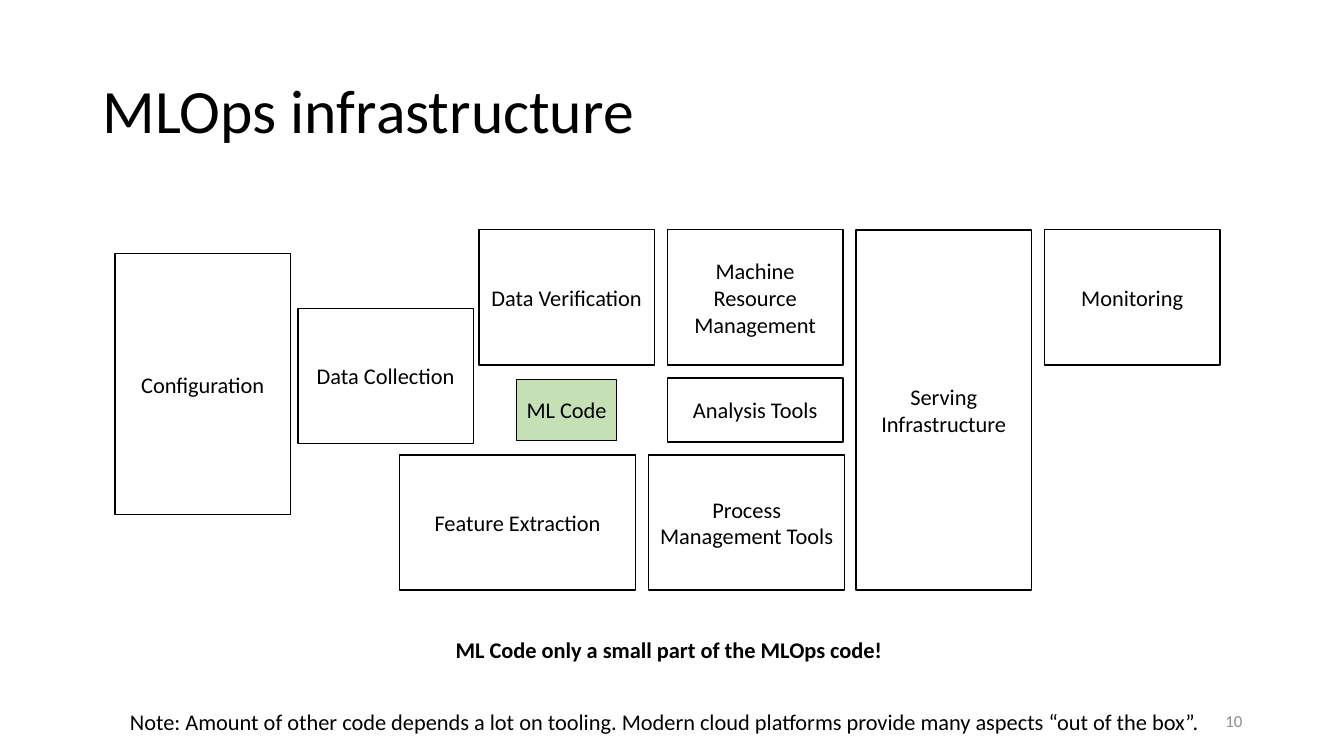
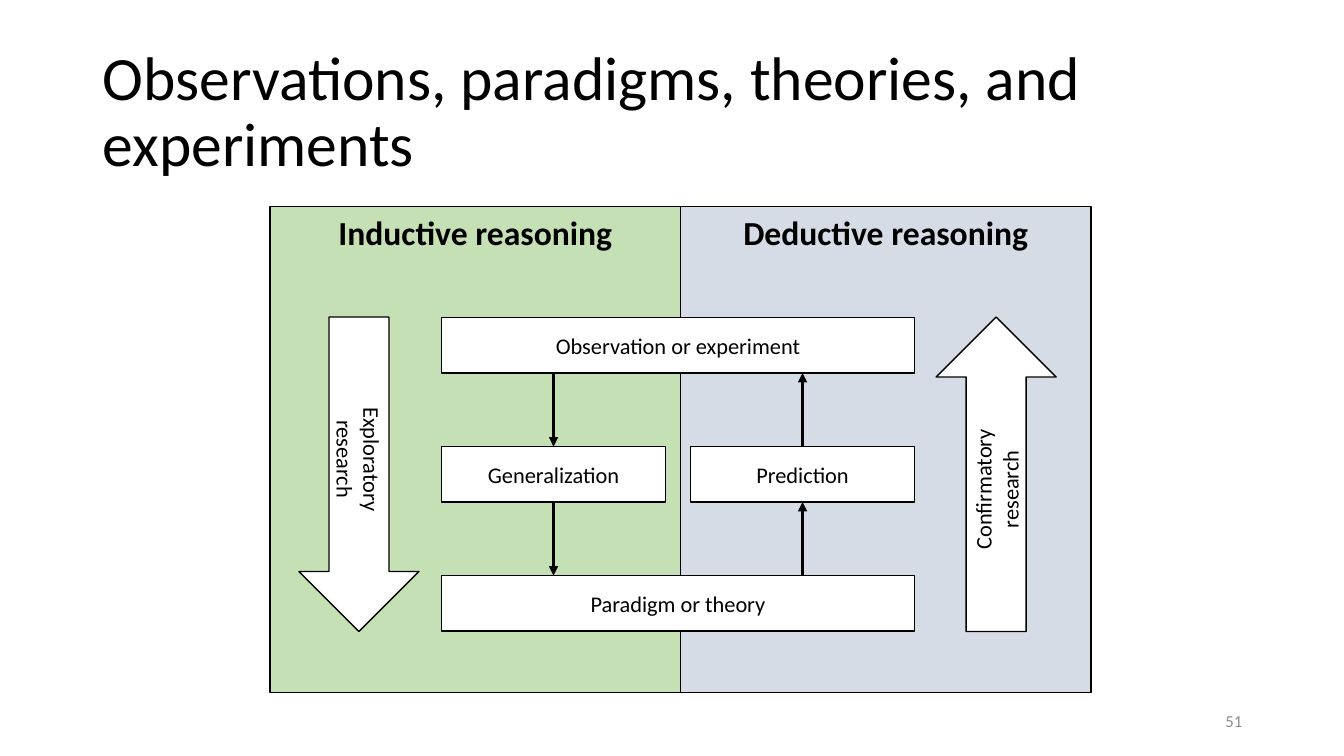
from dataclasses import dataclass

from lxml import etree
from pptx import Presentation
from pptx.dml.color import RGBColor
from pptx.enum.shapes import MSO_CONNECTOR, MSO_SHAPE
from pptx.enum.text import MSO_ANCHOR, MSO_AUTO_SIZE, PP_ALIGN
from pptx.oxml.ns import qn
from pptx.shapes.autoshape import Shape
from pptx.slide import Slide
from pptx.util import Inches, Pt

RECTANGLE, ARROW = MSO_SHAPE.RECTANGLE, MSO_SHAPE.RIGHT_ARROW
STRAIGHT = MSO_CONNECTOR.STRAIGHT
TOP, MIDDLE = MSO_ANCHOR.TOP, MSO_ANCHOR.MIDDLE
LEFT, CENTER, RIGHT = PP_ALIGN.LEFT, PP_ALIGN.CENTER, PP_ALIGN.RIGHT
FIT_SHAPE = MSO_AUTO_SIZE.SHAPE_TO_FIT_TEXT

BLACK = RGBColor(0x00, 0x00, 0x00)
WHITE = RGBColor(0xFF, 0xFF, 0xFF)
GREEN = RGBColor(0xC5, 0xE0, 0xB4)
BLUE_GRAY = RGBColor(0xD6, 0xDC, 0xE5)
FOOTER_GRAY = RGBColor(0x8C, 0x8C, 0x8C)
FONT = "Calibri"
BODY_SIZE = 16


@dataclass(frozen=True)
class Area:
    """A rectangle in inches."""
    left: float
    top: float
    width: float
    height: float


@dataclass(frozen=True)
class TextStyle:
    size: int = BODY_SIZE
    color: RGBColor = BLACK
    bold: bool = False
    align: PP_ALIGN = CENTER
    anchor: MSO_ANCHOR = MIDDLE
    line_spacing: float | None = None


@dataclass(frozen=True)
class Grid:
    """Equal columns and rows; a pitch includes the gap after a cell."""
    left: float
    top: float
    column_pitch: float
    row_pitch: float
    column_gap: float
    row_gap: float

    def area(self, column: float, row: float, columns: float, rows: float) -> Area:
        return Area(
            self.left + column * self.column_pitch,
            self.top + row * self.row_pitch,
            columns * self.column_pitch - self.column_gap,
            rows * self.row_pitch - self.row_gap,
        )


@dataclass(frozen=True)
class Box:
    """A labelled box, measured in columns and rows of a grid."""
    label: str
    column: float
    row: float
    columns: float = 1
    rows: float = 1
    fill: RGBColor = WHITE


@dataclass(frozen=True)
class Flow:
    """An arrow between two rows, centred on a column."""
    column: int
    start_row: int
    end_row: int


@dataclass(frozen=True)
class BlockArrow:
    label: str
    center: float
    rotation: int


BODY = TextStyle()
TITLE = TextStyle(size=44, align=LEFT, line_spacing=0.9)
CAPTION = TextStyle(align=LEFT, anchor=TOP)
BOLD_CAPTION = TextStyle(bold=True, align=LEFT, anchor=TOP)
PANEL_HEADING = TextStyle(size=24, bold=True, anchor=TOP)
PAGE_NUMBER = TextStyle(size=12, color=FOOTER_GRAY, align=RIGHT)
TITLE_AREA = Area(0.92, 0.4, 11.5, 1.45)
PAGE_NUMBER_AREA = Area(9.42, 6.95, 3, 0.4)

# Infrastructure map
INFRASTRUCTURE_GRID = Grid(1.01, 2.28, 1.87, 1.47, 0.13, 0.13)
INFRASTRUCTURE_BOXES = [
    Box("Configuration", 0.07, 0.16, rows=1.85),
    Box("Data Collection", 1.04, 0.53),
    Box("Feature Extraction", 1.58, 1.52, columns=1.32),
    Box("Data Verification", 2, 0),
    Box("Analysis Tools", 3, 1, rows=0.52),
    Box("ML Code", 2.2, 1.01, columns=0.6, rows=0.5, fill=GREEN),
    Box("Process Management Tools", 2.9, 1.52, columns=1.11),
    Box("Machine Resource Management", 3, 0),
    Box("Serving Infrastructure", 4, 0, rows=2.52),
    Box("Monitoring", 5, 0),
]

# Reasoning cycle
PANEL_GRID = Grid(2.68, 2.05, 4.07, 4.82, 0, 0)
PANELS = [
    Box("Inductive reasoning", 0, 0, fill=GREEN),
    Box("Deductive reasoning", 1, 0, fill=BLUE_GRAY),
]
CYCLE_GRID = Grid(4.38, 3.15, 2.47, 1.28, 0.25, 0.73)
CYCLE_BOXES = [
    Box("Observation or experiment", 0, 0, columns=2),
    Box("Paradigm or theory", 0, 2, columns=2),
    Box("Generalization", 0, 1),
    Box("Prediction", 1, 1),
]
FLOWS = [Flow(0, 0, 1), Flow(0, 1, 2), Flow(1, 2, 1), Flow(1, 1, 0)]
ARROW_LENGTH, ARROW_WIDTH = 3.12, 1.19
BLOCK_ARROWS = [
    BlockArrow("Exploratory\nresearch", 3.56, 90),
    BlockArrow("Confirmatory\nresearch", 9.88, 270),
]


def place(area: Area) -> tuple[Inches, Inches, Inches, Inches]:
    return Inches(area.left), Inches(area.top), Inches(area.width), Inches(area.height)


def write(shape: Shape, text: str, style: TextStyle, wrap: bool = True) -> None:
    frame = shape.text_frame
    frame.word_wrap = wrap
    frame.vertical_anchor = style.anchor
    frame.text = text
    for paragraph in frame.paragraphs:
        paragraph.alignment = style.align
        paragraph.line_spacing = style.line_spacing
        paragraph.font.name = FONT
        paragraph.font.size = Pt(style.size)
        paragraph.font.bold = style.bold
        paragraph.font.color.rgb = style.color


def add_text(slide: Slide, area: Area, text: str, style: TextStyle) -> None:
    write(slide.shapes.add_textbox(*place(area)), text, style)


def add_caption(slide: Slide, area: Area, text: str, style: TextStyle) -> None:
    shape = slide.shapes.add_textbox(*place(area))
    write(shape, text, style, wrap=False)
    shape.text_frame.auto_size = FIT_SHAPE


def add_outlined(slide: Slide, kind: MSO_SHAPE, area: Area, text: str,
                 fill: RGBColor = WHITE, style: TextStyle = BODY) -> Shape:
    shape = slide.shapes.add_shape(kind, *place(area))
    shape.shadow.inherit = False
    shape.fill.solid()
    shape.fill.fore_color.rgb = fill
    shape.line.color.rgb = BLACK
    shape.line.width = Pt(1)
    write(shape, text, style)
    return shape


def add_boxes(slide: Slide, grid: Grid, boxes: list[Box], style: TextStyle = BODY) -> None:
    for box in boxes:
        area = grid.area(box.column, box.row, box.columns, box.rows)
        add_outlined(slide, RECTANGLE, area, box.label, box.fill, style)


def add_flow(slide: Slide, grid: Grid, flow: Flow) -> None:
    start = grid.area(flow.column, flow.start_row, 1, 1)
    end = grid.area(flow.column, flow.end_row, 1, 1)
    x = Inches(start.left + start.width / 2)
    downward = flow.end_row > flow.start_row
    start_y = start.top + start.height if downward else start.top
    end_y = end.top if downward else end.top + end.height
    connector = slide.shapes.add_connector(STRAIGHT, x, Inches(start_y), x, Inches(end_y))
    connector.line.color.rgb = BLACK
    connector.line.width = Pt(2.25)
    properties = connector.element.spPr
    etree.SubElement(connector.line._get_or_add_ln(), qn("a:tailEnd"), type="triangle")
    etree.SubElement(properties, qn("a:effectLst"))


def add_block_arrow(slide: Slide, arrow: BlockArrow) -> None:
    # Rotation turns about the middle of the cycle's height
    first, last = CYCLE_GRID.area(0, 0, 1, 1), CYCLE_GRID.area(0, 2, 1, 1)
    middle = (first.top + last.top + last.height) / 2
    area = Area(arrow.center - ARROW_LENGTH / 2, middle - ARROW_WIDTH / 2,
                ARROW_LENGTH, ARROW_WIDTH)
    add_outlined(slide, ARROW, area, arrow.label).rotation = arrow.rotation


def add_slide(presentation: Presentation, title: str, number: int) -> Slide:
    slide = presentation.slides.add_slide(presentation.slide_layouts[6])
    add_text(slide, TITLE_AREA, title, TITLE)
    add_text(slide, PAGE_NUMBER_AREA, str(number), PAGE_NUMBER)
    return slide


def build_infrastructure(presentation: Presentation) -> None:
    slide = add_slide(presentation, "MLOps infrastructure", 10)
    add_boxes(slide, INFRASTRUCTURE_GRID, INFRASTRUCTURE_BOXES)
    add_caption(slide, Area(4.42, 6.26, 4.49, 0.37),
                "ML Code only a small part of the MLOps code!", BOLD_CAPTION)
    add_caption(slide, Area(1.19, 6.98, 10.95, 0.37),
                "Note: Amount of other code depends a lot on tooling. "
                "Modern cloud platforms provide many aspects “out of the box”.", CAPTION)


def build_reasoning(presentation: Presentation) -> None:
    slide = add_slide(presentation, "Observations, paradigms, theories, and experiments", 51)
    add_boxes(slide, PANEL_GRID, PANELS, PANEL_HEADING)
    add_boxes(slide, CYCLE_GRID, CYCLE_BOXES)
    for flow in FLOWS:
        add_flow(slide, CYCLE_GRID, flow)
    for arrow in BLOCK_ARROWS:
        add_block_arrow(slide, arrow)


def main() -> None:
    presentation = Presentation()
    presentation.slide_width = Inches(13.33)
    presentation.slide_height = Inches(7.5)
    build_infrastructure(presentation)
    build_reasoning(presentation)
    presentation.save("out.pptx")


if __name__ == "__main__":
    main()
